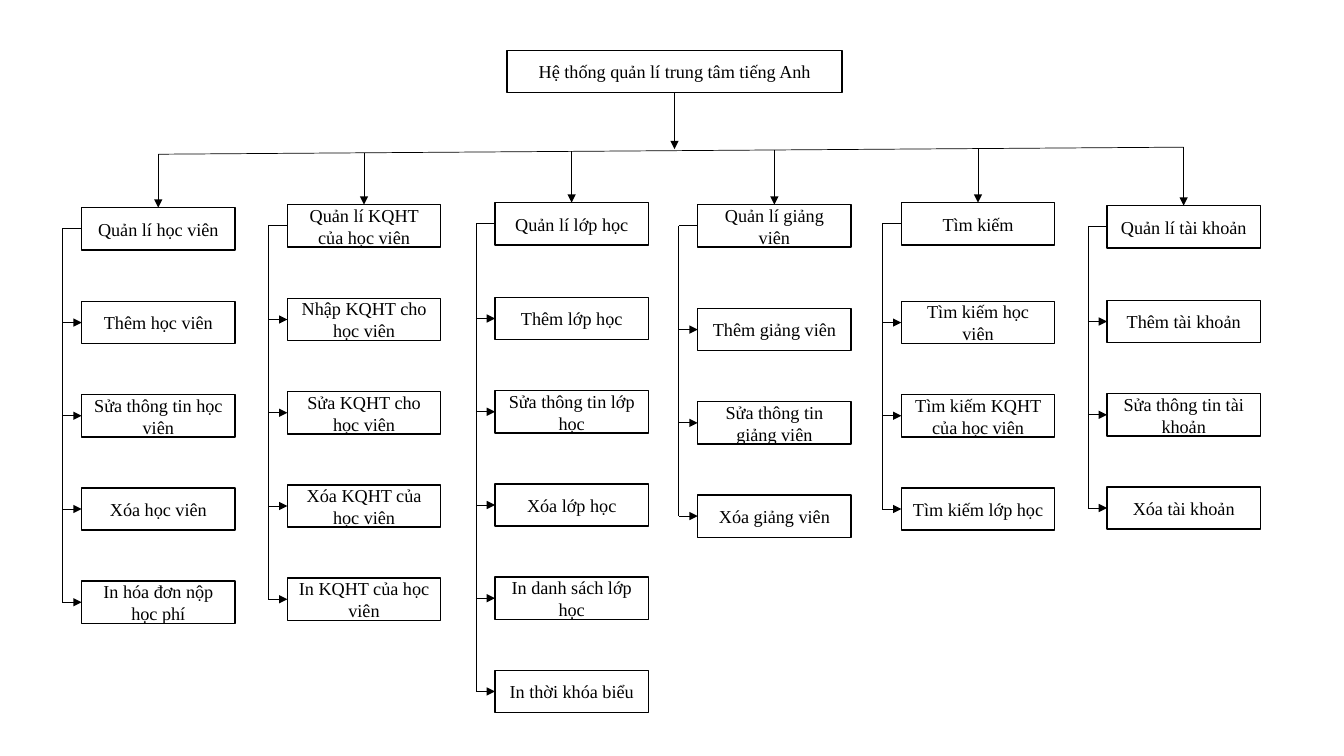
import pptx
import pptx.util
import pptx.dml.color
import pptx.enum.shapes
import pptx.enum.text
import pptx.oxml.ns
from lxml import etree

Inches = pptx.util.Inches
Pt = pptx.util.Pt
color = pptx.dml.color.RGBColor.from_string
INK, PAPER = "000000", "FFFFFF"
WIDE, HIGH = 1.52, 0.42
STEP = 0.925    # from one child box to the next
INDENT = 0.19   # from the spine to the boxes
TOP, RIGHT, LEFT, BOTTOM = 0, 3, 1, 2

deck = pptx.Presentation()
deck.slide_width, deck.slide_height = Inches(13.33), Inches(7.5)
slide = deck.slides.add_slide(deck.slide_layouts[6])


def box(text, x, y, wide=WIDE):
    shape = slide.shapes.add_shape(
        pptx.enum.shapes.MSO_SHAPE.RECTANGLE,
        Inches(x), Inches(y), Inches(wide), Inches(HIGH))
    shape.shadow.inherit = False
    shape.fill.solid()
    shape.fill.fore_color.rgb = color(PAPER)
    shape.line.color.rgb = color(INK)
    shape.line.width = Pt(1)
    frame = shape.text_frame
    frame.word_wrap = True
    frame.vertical_anchor = pptx.enum.text.MSO_ANCHOR.MIDDLE
    frame.text = text
    para = frame.paragraphs[0]
    para.alignment = pptx.enum.text.PP_ALIGN.CENTER
    para.font.name = "Times New Roman"
    para.font.size = Pt(13)
    para.font.color.rgb = color(INK)
    return shape


def link(x1, y1, x2, y2, arrow=False):
    wire = slide.shapes.add_connector(
        pptx.enum.shapes.MSO_CONNECTOR.STRAIGHT,
        Inches(x1), Inches(y1), Inches(x2), Inches(y2))
    wire.line.color.rgb = color(INK)
    wire.line.width = Pt(0.5)
    if arrow:
        tail = etree.SubElement(wire.line._get_or_add_ln(),
                                pptx.oxml.ns.qn("a:tailEnd"))
        tail.set("type", "triangle")
    etree.SubElement(wire._element.spPr, pptx.oxml.ns.qn("a:effectLst"))
    return wire


# Left edge, top of the head, top of the first child, head, children
groups = [
    (0.81, 2.06, 2.99, "Quản lí học viên",
     ["Thêm học viên", "Sửa thông tin học viên", "Xóa học viên",
      "In hóa đơn nộp học phí"]),
    (2.85, 2.03, 2.96, "Quản lí KQHT của học viên",
     ["Nhập KQHT cho học viên", "Sửa KQHT cho học viên",
      "Xóa KQHT của học viên", "In KQHT của học viên"]),
    (4.91, 2.01, 2.95, "Quản lí lớp học",
     ["Thêm lớp học", "Sửa thông tin lớp học", "Xóa lớp học",
      "In danh sách lớp học", "In thời khóa biểu"]),
    (6.92, 2.03, 3.06, "Quản lí giảng viên",
     ["Thêm giảng viên", "Sửa thông tin giảng viên", "Xóa giảng viên"]),
    (8.94, 2.01, 2.99, "Tìm kiếm",
     ["Tìm kiếm học viên", "Tìm kiếm KQHT của học viên",
      "Tìm kiếm lớp học"]),
    (10.98, 2.04, 2.98, "Quản lí tài khoản",
     ["Thêm tài khoản", "Sửa thông tin tài khoản", "Xóa tài khoản"]),
]

# The bus falls slightly from right to left
start, end = groups[0][0] + WIDE / 2, groups[-1][0] + WIDE / 2
low, high = 1.53, 1.46
link(start, low, end, high)

root = box("Hệ thống quản lí trung tâm tiếng Anh", 5.03, 0.5, 3.32)
mid = 5.03 + 3.32 / 2
link(mid, 0.5 + HIGH, mid, 1.48, True).begin_connect(root, BOTTOM)

for left, top, first, name, tasks in groups:
    head = box(name, left, top)
    mid = left + WIDE / 2
    bus = low + (high - low) * (mid - start) / (end - start)
    link(mid, bus, mid, top, True).end_connect(head, TOP)

    spine = left - INDENT
    y = top + HIGH / 2
    last = first + STEP * (len(tasks) - 1) + HIGH / 2
    link(left, y, spine, y).begin_connect(head, LEFT)
    link(spine, y, spine, last)
    for row, task in enumerate(tasks):
        y = first + STEP * row
        child = box(task, left, y)
        y += HIGH / 2
        link(spine, y, left, y, True).end_connect(child, LEFT)

deck.save("out.pptx")
